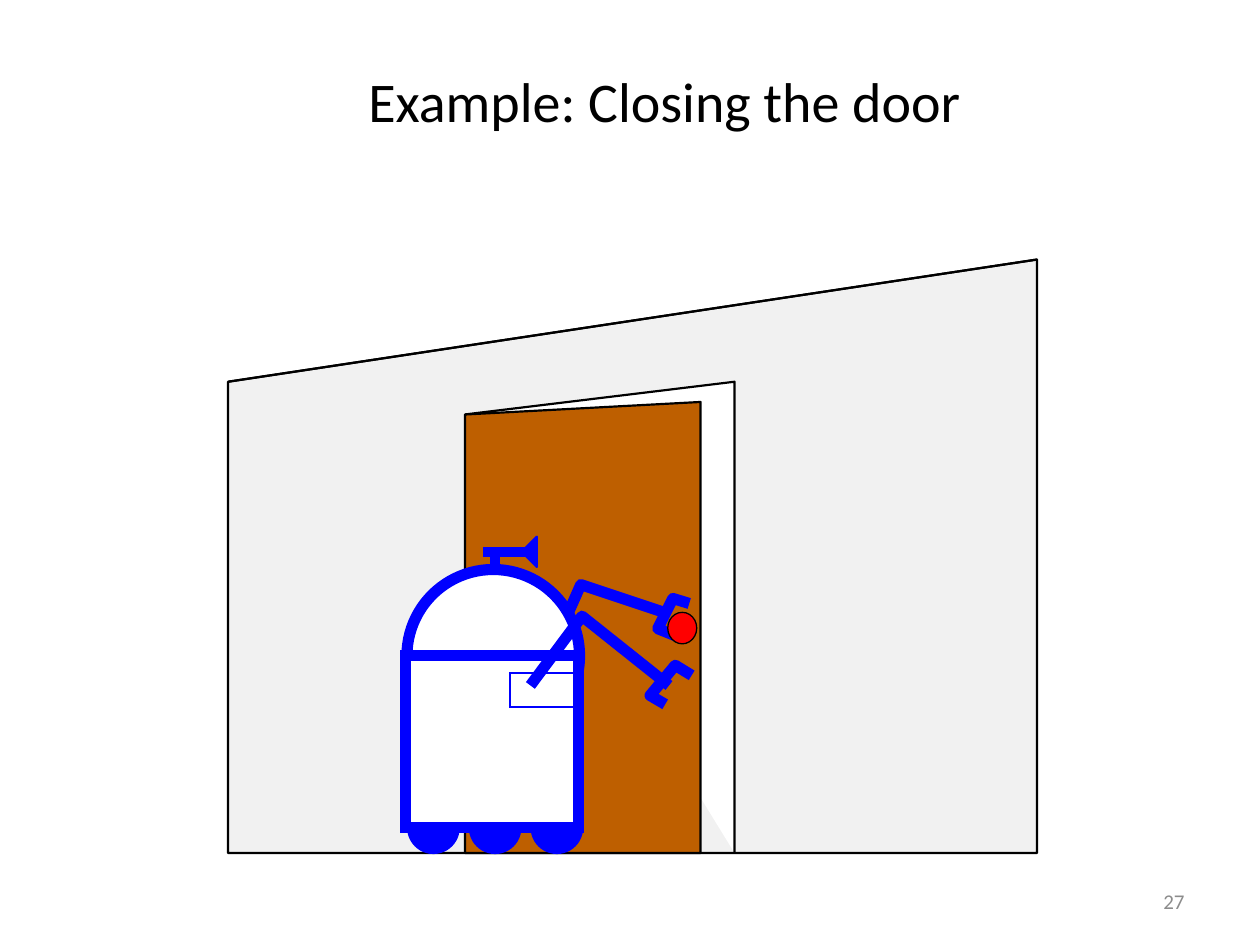
import pptx
import pptx.dml.color
import pptx.enum.shapes
import pptx.enum.text
import pptx.util
from lxml import etree
from pptx.oxml.ns import qn

Inches = pptx.util.Inches
Pt = pptx.util.Pt
MSO = pptx.enum.shapes.MSO_SHAPE
ALIGN = pptx.enum.text.PP_ALIGN

COLORS = {
    "text": "000000", "number": "8C8C8C", "outline": "000000",
    "wall": "F1F1F1", "white": "FFFFFF", "door": "BE5F00",
    "robot": "0000FF", "ball": "FF0000",
}
THIN, THICK = 1.25, 6.38
FLOOR = 6.77
WALL_LEFT, WALL_RIGHT = 1.81, 8.23
HINGE = (3.69, 3.29)
BODY = 1.37


def rgb(name):
    return pptx.dml.color.RGBColor.from_string(COLORS[name])


def set_line(sp, color, width, join):
    sp.line.color.rgb = rgb(color)
    sp.line.width = Pt(width)
    ln = sp.line._get_or_add_ln()
    el = etree.SubElement(ln, qn("a:" + join))
    if join == "miter":
        el.set("lim", "800000")


def style(sp, fill=None, line=None, width=THIN, join="miter"):
    """Give a shape its fill and line; None leaves that part out."""
    sp.shadow.inherit = False
    if fill:
        sp.fill.solid()
        sp.fill.fore_color.rgb = rgb(fill)
    else:
        sp.fill.background()
    if line:
        set_line(sp, line, width, join)
    else:
        sp.line.fill.background()


def add_shape(shapes, kind, x, y, w, h, **look):
    sp = shapes.add_shape(kind, Inches(x), Inches(y), Inches(w), Inches(h))
    style(sp, **look)


def add_path(shapes, points, close=False, **look):
    start, *rest = [(Inches(x), Inches(y)) for x, y in points]
    fb = shapes.build_freeform(*start)
    fb.add_line_segments(rest, close=close)
    style(fb.convert_to_shape(), **look)


def add_line(shapes, start, end):
    ends = [Inches(v) for v in (*start, *end)]
    cn = shapes.add_connector(pptx.enum.shapes.MSO_CONNECTOR.STRAIGHT, *ends)
    set_line(cn, "outline", THIN, "round")
    etree.SubElement(cn._element.spPr, qn("a:effectLst"))


def add_text(s, text, box, size, color, align):
    tb = s.shapes.add_textbox(*[Inches(v) for v in box])
    tf = tb.text_frame
    tf.word_wrap = True
    tf.vertical_anchor = pptx.enum.text.MSO_ANCHOR.MIDDLE
    p = tf.paragraphs[0]
    p.alignment = align
    r = p.add_run()
    r.text = text
    for name, value in {"name": "Calibri", "size": Pt(size)}.items():
        setattr(r.font, name, value)
    r.font.color.rgb = rgb(color)


def add_room(shapes):
    top_left, top_right = (WALL_LEFT, 3.03), (WALL_RIGHT, 2.06)
    bottom_left, bottom_right = (WALL_LEFT, FLOOR), (WALL_RIGHT, FLOOR)
    wall = [bottom_left, top_left, top_right, bottom_right]
    opening = [HINGE, (5.83, 3.03), (5.83, FLOOR)]
    door = [(HINGE[0], FLOOR), HINGE, (5.56, 3.19), (5.56, FLOOR)]

    add_path(shapes, wall, close=True, fill="wall")
    add_path(shapes, wall + [bottom_left], line="outline", join="round")
    add_path(shapes, opening, close=True, fill="white")
    add_path(shapes, opening, line="outline", join="round")
    add_path(shapes, door, close=True, fill="door", line="outline", join="round")
    add_line(shapes, bottom_left, bottom_right)
    add_line(shapes, top_left, top_right)


def add_robot(shapes):
    solid = {"fill": "robot", "line": "robot"}
    limb = {"line": "robot", "width": THICK, "join": "round"}

    # Camera
    add_shape(shapes, MSO.RECTANGLE, 3.9, 4.41, 0.06, 0.12, **solid)
    add_shape(shapes, MSO.RECTANGLE, 3.84, 4.35, 0.36, 0.06, **solid)
    lens = [(4.14, 4.38), (4.26, 4.26), (4.26, 4.5)]
    add_path(shapes, lens, close=True, fill="robot")
    add_path(shapes, lens + lens[:1], line="robot", join="round")

    # Far arm, head, wheels and body
    add_path(shapes, [(4.27, 5.41), (4.61, 4.64), (5.3, 4.87)], **limb)
    add_shape(shapes, MSO.OVAL, 3.23, 4.52, BODY, BODY, fill="white", **limb)
    for i in range(3):
        add_shape(shapes, MSO.OVAL, 3.24 + 0.49 * i, 6.37, 0.4, 0.4, **solid)
    body = (3.22, 5.2, BODY, BODY)
    add_shape(shapes, MSO.RECTANGLE, *body, fill="white")
    add_shape(shapes, MSO.RECTANGLE, *body, line="robot", width=THICK)
    add_shape(shapes, MSO.RECTANGLE, 4.05, 5.34, 0.55, 0.27, line="robot")

    # Near arm and both grippers
    for points in (
        [(4.21, 5.44), (4.62, 4.89), (5.31, 5.44)],
        [(5.28, 5.59), (5.16, 5.52), (5.36, 5.28), (5.49, 5.36)],
        [(5.37, 5.05), (5.22, 4.99), (5.34, 4.75), (5.47, 4.79)],
    ):
        add_path(shapes, points, **limb)


def main():
    prs = pptx.Presentation()
    prs.slide_width, prs.slide_height = Inches(10), Inches(7.5)
    s = prs.slides.add_slide(prs.slide_layouts[6])
    add_text(s, "27", (7.17, 6.95, 2.33, 0.4), 12, "number", ALIGN.RIGHT)
    add_text(s, "Example: Closing the door", (0.67, 0.48, 9.21, 0.63),
             32, "text", ALIGN.CENTER)
    scene = s.shapes.add_group_shape().shapes
    add_room(scene)
    add_robot(scene)
    add_shape(scene, MSO.OVAL, 5.3, 4.86, 0.23, 0.25,
              fill="ball", line="outline", width=0.75)
    prs.save("out.pptx")


if __name__ == "__main__":
    main()
